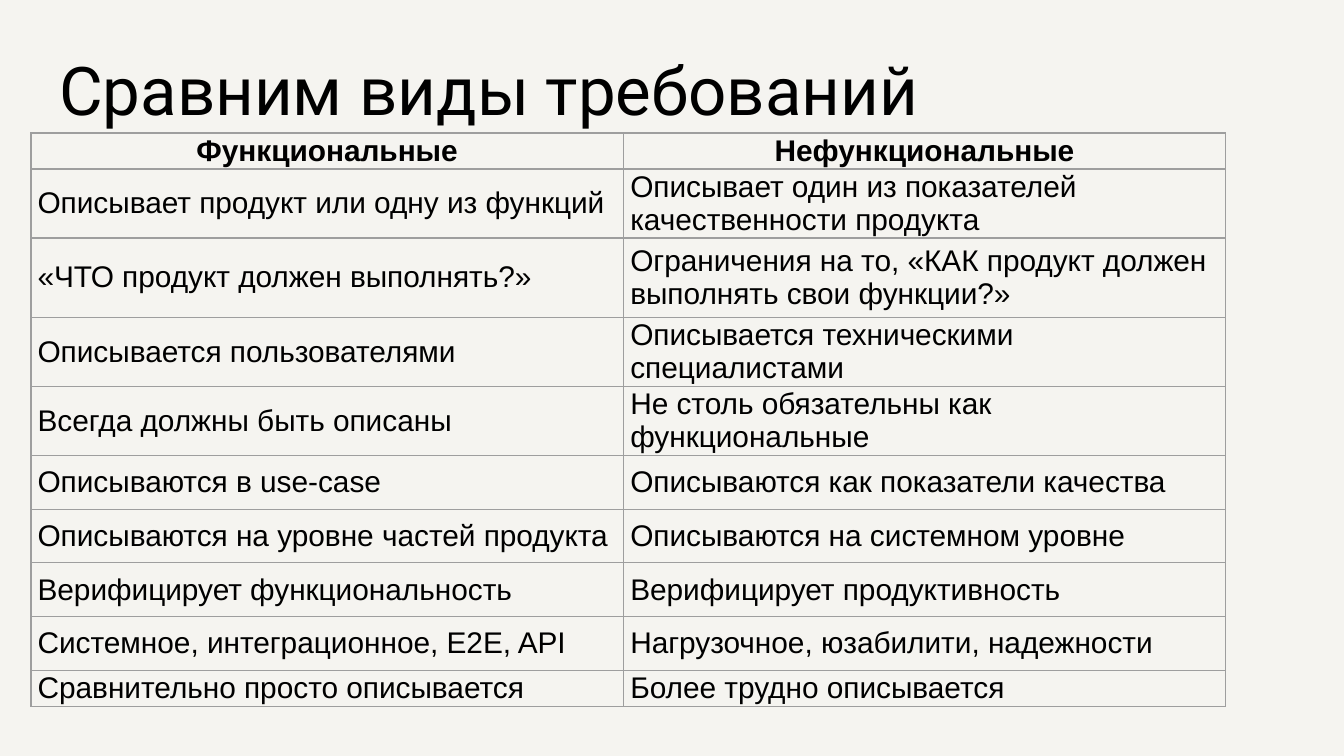
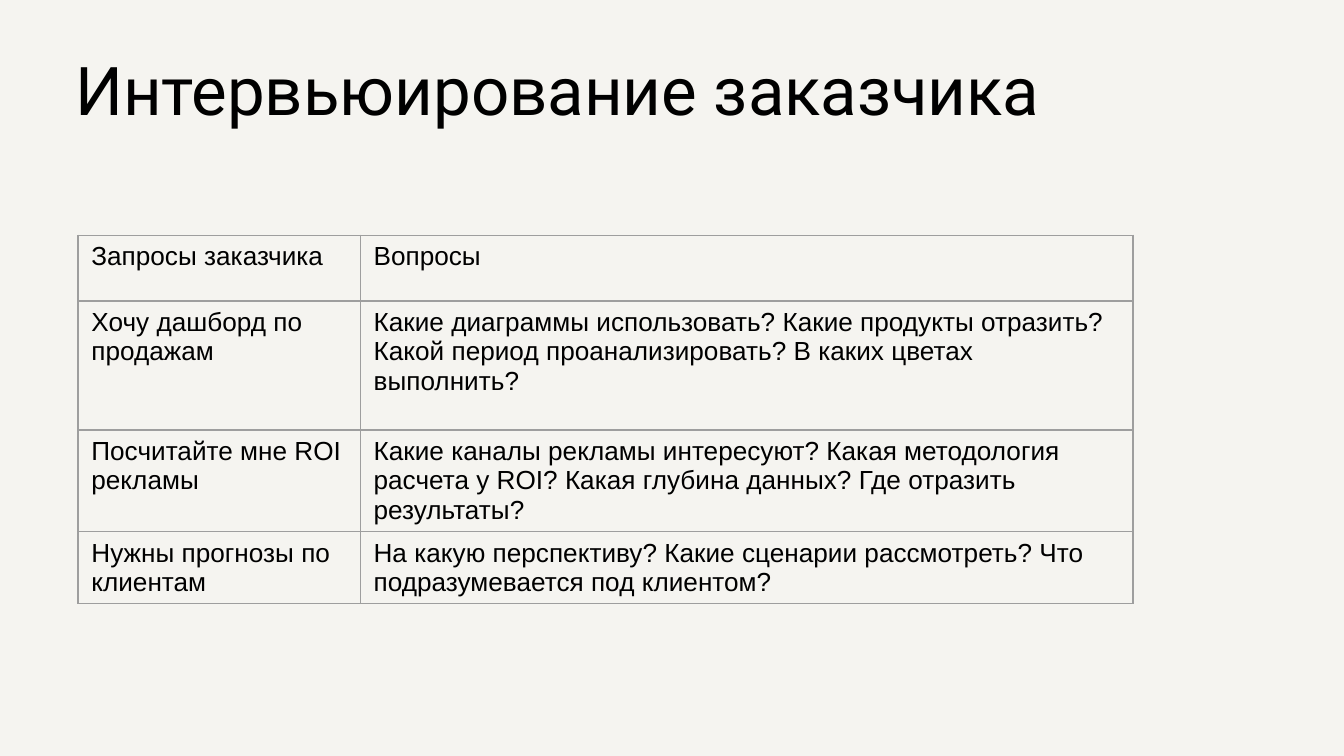
from lxml import etree
from pptx import Presentation
from pptx.dml.color import RGBColor
from pptx.enum.text import MSO_ANCHOR, MSO_AUTO_SIZE, PP_ALIGN
from pptx.oxml.ns import qn
from pptx.util import Inches, Pt

LEFT, CENTER = PP_ALIGN.LEFT, PP_ALIGN.CENTER
TOP, MIDDLE, BOTTOM = MSO_ANCHOR.TOP, MSO_ANCHOR.MIDDLE, MSO_ANCHOR.BOTTOM
NO_AUTOFIT = MSO_AUTO_SIZE.NONE
TITLE_ONLY = 5

COLORS = {"background": "F5F4F0", "text": "000000", "border": "9E9E9E"}
TITLE_FONT, TABLE_FONT = "Roboto", "Arial"
TITLE_SIZE = 36
BORDER_WIDTH = 0.75

REQUIREMENTS = [
    ("Функциональные", "Нефункциональные"),
    ("Описывает продукт или одну из функций",
     "Описывает один из показателей качественности продукта"),
    ("«ЧТО продукт должен выполнять?»",
     "Ограничения на то, «КАК продукт должен выполнять свои функции?»"),
    ("Описывается пользователями", "Описывается техническими специалистами"),
    ("Всегда должны быть описаны", "Не столь обязательны как функциональные"),
    ("Описываются в use-case", "Описываются как показатели качества"),
    ("Описываются на уровне частей продукта", "Описываются на системном уровне"),
    ("Верифицирует функциональность", "Верифицирует продуктивность"),
    ("Системное, интеграционное, E2E, API", "Нагрузочное, юзабилити, надежности"),
    ("Сравнительно просто описывается", "Более трудно описывается"),
]
INTERVIEW = [
    ("Запросы заказчика", "Вопросы"),
    ("Хочу дашборд по продажам",
     "Какие диаграммы использовать? Какие продукты отразить? "
     "Какой период проанализировать? В каких цветах выполнить?"),
    ("Посчитайте мне ROI рекламы",
     "Какие каналы рекламы интересуют? Какая методология расчета у ROI? "
     "Какая глубина данных? Где отразить результаты?"),
    ("Нужны прогнозы по клиентам",
     "На какую перспективу? Какие сценарии рассмотреть? "
     "Что подразумевается под клиентом?"),
]


class SlideBuilder:
    def __init__(self, deck):
        self.deck = deck
        self.page = None

    def add_page(self):
        self.page = self.deck.slides.add_slide(self.deck.slide_layouts[TITLE_ONLY])
        fill = self.page.background.fill
        fill.solid()
        fill.fore_color.rgb = RGBColor.from_string(COLORS["background"])

    def format_text(self, frame, font_name, size, bold=False, align=LEFT):
        for para in frame.paragraphs:
            para.alignment = align
            for span in para.runs:
                span.font.name = font_name
                span.font.size = Pt(size)
                span.font.bold = bold
                span.font.color.rgb = RGBColor.from_string(COLORS["text"])

    def title(self, text, left_inset=0.1):
        box = self.page.shapes.title
        box.left, box.top = Inches(0.34), Inches(0.21)
        box.width, box.height = Inches(9.32), Inches(0.85)
        frame = box.text_frame
        frame.text = text
        frame.word_wrap = True
        frame.auto_size = NO_AUTOFIT
        frame.vertical_anchor = BOTTOM
        frame.margin_left = Inches(left_inset)
        frame.margin_right = frame.margin_top = frame.margin_bottom = Inches(0.1)
        self.format_text(frame, TITLE_FONT, TITLE_SIZE)

    def border(self, cell):
        properties = cell._tc.get_or_add_tcPr()
        for side in ("a:lnL", "a:lnR", "a:lnT", "a:lnB"):
            line = etree.SubElement(properties, qn(side), w=str(Pt(BORDER_WIDTH)))
            fill = etree.SubElement(line, qn("a:solidFill"))
            etree.SubElement(fill, qn("a:srgbClr"), val=COLORS["border"])

    def table(self, rows, left, top, widths, heights, size, insets,
              anchor=TOP, strong_header=False):
        """Draw a bordered, unfilled grid; insets are (horizontal, vertical)."""
        frame = self.page.shapes.add_table(
            len(rows), len(widths), Inches(left), Inches(top),
            Inches(sum(widths)), Inches(sum(heights)))
        table = frame.table
        table.first_row = table.horz_banding = False
        for column, width in zip(table.columns, widths):
            column.width = Inches(width)
        for row, height, texts in zip(table.rows, heights, rows):
            row.height = Inches(height)
            header = strong_header and texts is rows[0]
            for cell, text in zip(row.cells, texts):
                cell.text_frame.text = text
                cell.margin_left = cell.margin_right = Inches(insets[0])
                cell.margin_top = cell.margin_bottom = Inches(insets[1])
                cell.vertical_anchor = anchor
                self.border(cell)
                cell.fill.background()
                self.format_text(cell.text_frame, TABLE_FONT, size, header,
                                 CENTER if header else LEFT)


def main():
    deck = Presentation()
    deck.slide_width = Inches(10)
    deck.slide_height = deck.slide_width * 9 // 16
    builder = SlideBuilder(deck)

    builder.add_page()
    builder.title("Сравним виды требований")
    builder.table(REQUIREMENTS, 0.23, 0.99, [4.41, 4.48],
                  [0.21, 0.4, 0.59, 0.5] + [0.4] * 5 + [0.21],
                  size=16, insets=(0.05, 0.01), anchor=MIDDLE, strong_header=True)

    builder.add_page()
    builder.title("Интервьюирование заказчика", left_inset=0.22)
    builder.table(INTERVIEW, 0.58, 1.75, [2.1, 5.75], [0.49, 0.96, 0.68, 0.49],
                  size=14, insets=(0.1, 0.05))

    deck.save("out.pptx")


if __name__ == "__main__":
    main()
